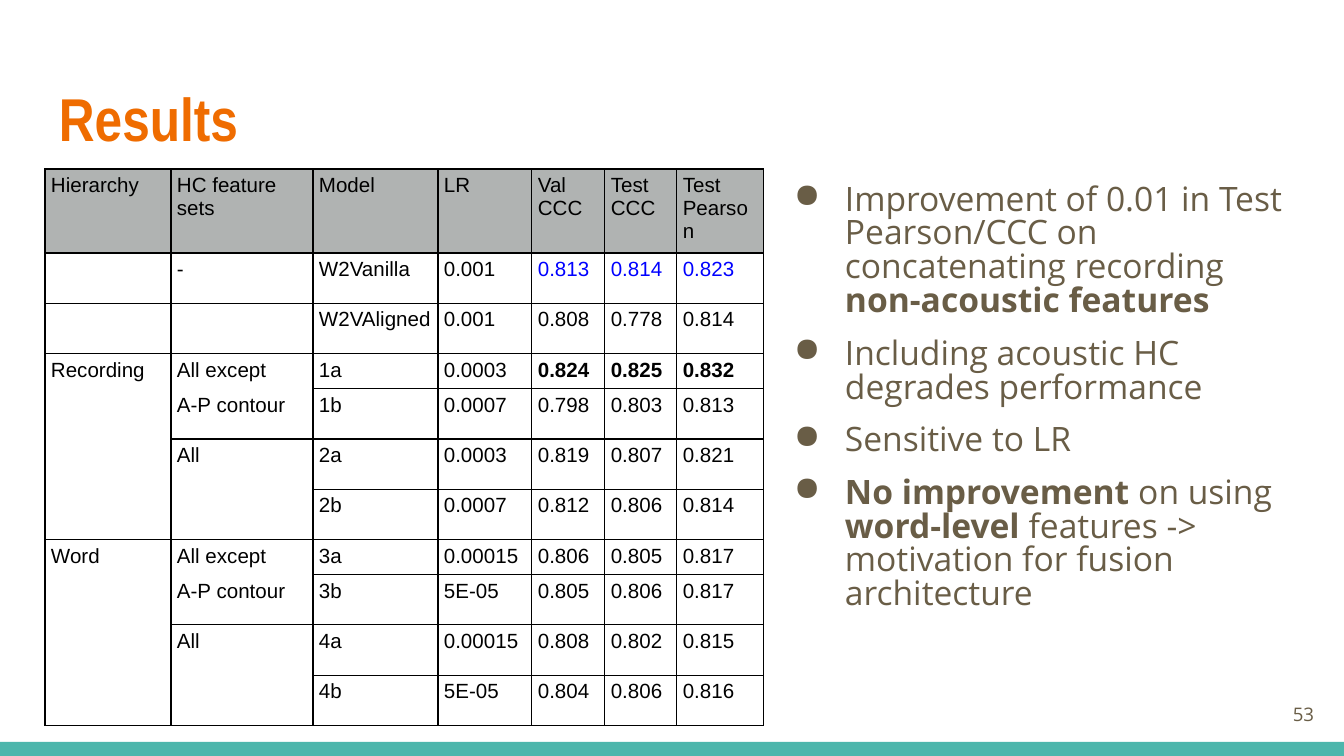
"""Build the results slide: a table of model scores beside the main findings."""
from lxml.etree import SubElement
from pptx import Presentation
from pptx.dml.color import RGBColor
from pptx.enum.shapes import MSO_SHAPE as Shape
from pptx.enum.text import MSO_ANCHOR as Anchor, PP_ALIGN as Align
from pptx.oxml.ns import qn
from pptx.util import Pt

SCALE = 914400 / 134.4
BROWN, BLACK, BLUE = "695D46", "000000", "0000FF"


def px(*lengths):
    return [round(length * SCALE) for length in lengths]


def add_run(paragraph, text, font, size, color, bold=False):
    run = paragraph.add_run()
    run.text = text
    for name, value in {"name": font, "size": Pt(size), "bold": bold}.items():
        setattr(run.font, name, value)
    run.font.color.rgb = RGBColor.from_string(color)


presentation = Presentation()
presentation.slide_width, presentation.slide_height = px(1344, 756)
slide = presentation.slides.add_slide(presentation.slide_layouts[5])

band = slide.shapes.add_shape(Shape.RECTANGLE, *px(0, 742, 1344, 14))
band.shadow.inherit = False
band.fill.solid()
band.fill.fore_color.rgb = RGBColor.from_string("4DB6AC")
band.line.fill.background()

title = slide.shapes.title
findings = slide.shapes.add_textbox(*px(765, 171, 534, 544))
number = slide.shapes.add_textbox(*px(1246, 685, 81, 58))
title.left, title.top, title.width, title.height = px(46, 66, 1252, 103)
inset = px(13)[0]
for shape, anchor in [(title, Anchor.MIDDLE), (findings, Anchor.TOP), (number, Anchor.MIDDLE)]:
    frame_format = {"word_wrap": True, "vertical_anchor": anchor}
    for side in ("left", "top", "right", "bottom"):
        frame_format[f"margin_{side}"] = inset
    for name, value in frame_format.items():
        setattr(shape.text_frame, name, value)

paragraph = title.text_frame.paragraphs[0]
paragraph.alignment = Align.LEFT
add_run(paragraph, "Results", "Arial Narrow", 32.4, "EF6C00", True)

paragraph = number.text_frame.paragraphs[0]
paragraph.alignment = Align.RIGHT
add_run(paragraph, "53", "Open Sans", 10, BROWN)

bullets = [
    [("Improvement of 0.01 in Test Pearson/CCC on concatenating recording ", False),
     ("non-acoustic features", True)],
    [("Including acoustic HC degrades performance", False)],
    [("Sensitive to LR", False)],
    [("No improvement", True), (" on using ", False), ("word-level", True),
     (" features -> motivation for fusion architecture", False)],
]
indent, hanging = px(67, -51)
for index, parts in enumerate(bullets):
    frame = findings.text_frame
    paragraph = frame.add_paragraph() if index else frame.paragraphs[0]
    paragraph.line_spacing = 0.84
    paragraph.space_before = Pt(10 if index else 0)
    properties = paragraph._p.get_or_add_pPr()
    properties.set("marL", str(indent))
    properties.set("indent", str(hanging))
    bullet_color = SubElement(properties, qn("a:buClr"))
    SubElement(bullet_color, qn("a:srgbClr"), val=BROWN)
    SubElement(properties, qn("a:buChar"), char="●")
    for text, bold in parts:
        add_run(paragraph, text, "Open Sans", 18, BROWN, bold)

rows = [
    ["Hierarchy", "HC feature sets", "Model", "LR", "Val CCC", "Test CCC", "Test Pearson"],
    ["", "-", "W2Vanilla", "0.001", "0.813", "0.814", "0.823"],
    ["", "", "W2VAligned", "0.001", "0.808", "0.778", "0.814"],
    ["Recording", "All except", "1a", "0.0003", "0.824", "0.825", "0.832"],
    ["", "A-P contour", "1b", "0.0007", "0.798", "0.803", "0.813"],
    ["", "All", "2a", "0.0003", "0.819", "0.807", "0.821"],
    ["", "", "2b", "0.0007", "0.812", "0.806", "0.814"],
    ["Word", "All except", "3a", "0.00015", "0.806", "0.805", "0.817"],
    ["", "A-P contour", "3b", "5E-05", "0.805", "0.806", "0.817"],
    ["", "All", "4a", "0.00015", "0.808", "0.802", "0.815"],
    ["", "", "4b", "5E-05", "0.804", "0.806", "0.816"],
]
widths = [126, 142, 125, 94, 73, 72, 87]
heights = [80, 48, 49] + [35, 49, 49, 49] * 2
BASELINE_ROW, FIRST_GROUP_ROW, BEST_ROW = 1, 3, 3
group_sizes = [4, 2, 1, 1, 1, 1, 1]

table = slide.shapes.add_table(
    len(rows), len(widths), *px(45, 169, sum(widths), sum(heights))).table
table.first_row = table.horz_banding = False
for column, width in zip(table.columns, px(*widths)):
    column.width = width
for row, height in zip(table.rows, px(*heights)):
    row.height = height

margins = dict(zip(["margin_left", "margin_right", "margin_top", "margin_bottom"], px(6, 5, 5, 5)))
for r, texts in enumerate(rows):
    for c, text in enumerate(texts):
        cell = table.cell(r, c)
        for name, value in margins.items():
            setattr(cell, name, value)
        size = group_sizes[c] if r >= FIRST_GROUP_ROW else 1
        place = (r - FIRST_GROUP_ROW) % size
        borders = {"L": True, "R": True, "T": place == 0, "B": place == size - 1}
        cell_properties = cell._tc.get_or_add_tcPr()
        for side, visible in borders.items():
            line = SubElement(cell_properties, qn(f"a:ln{side}"), w=str(Pt(0.75)))
            if visible:
                SubElement(SubElement(line, qn("a:solidFill")), qn("a:srgbClr"), val=BLACK)
            else:
                SubElement(line, qn("a:noFill"))
        if r == 0:
            cell.fill.solid()
            cell.fill.fore_color.rgb = RGBColor.from_string("B0B3B2")
        else:
            cell.fill.background()
        if text:
            is_score = c >= 4
            color = BLUE if r == BASELINE_ROW and is_score else BLACK
            add_run(cell.text_frame.paragraphs[0], text, "Arial", 11, color,
                    r == BEST_ROW and is_score)

presentation.save("out.pptx")
